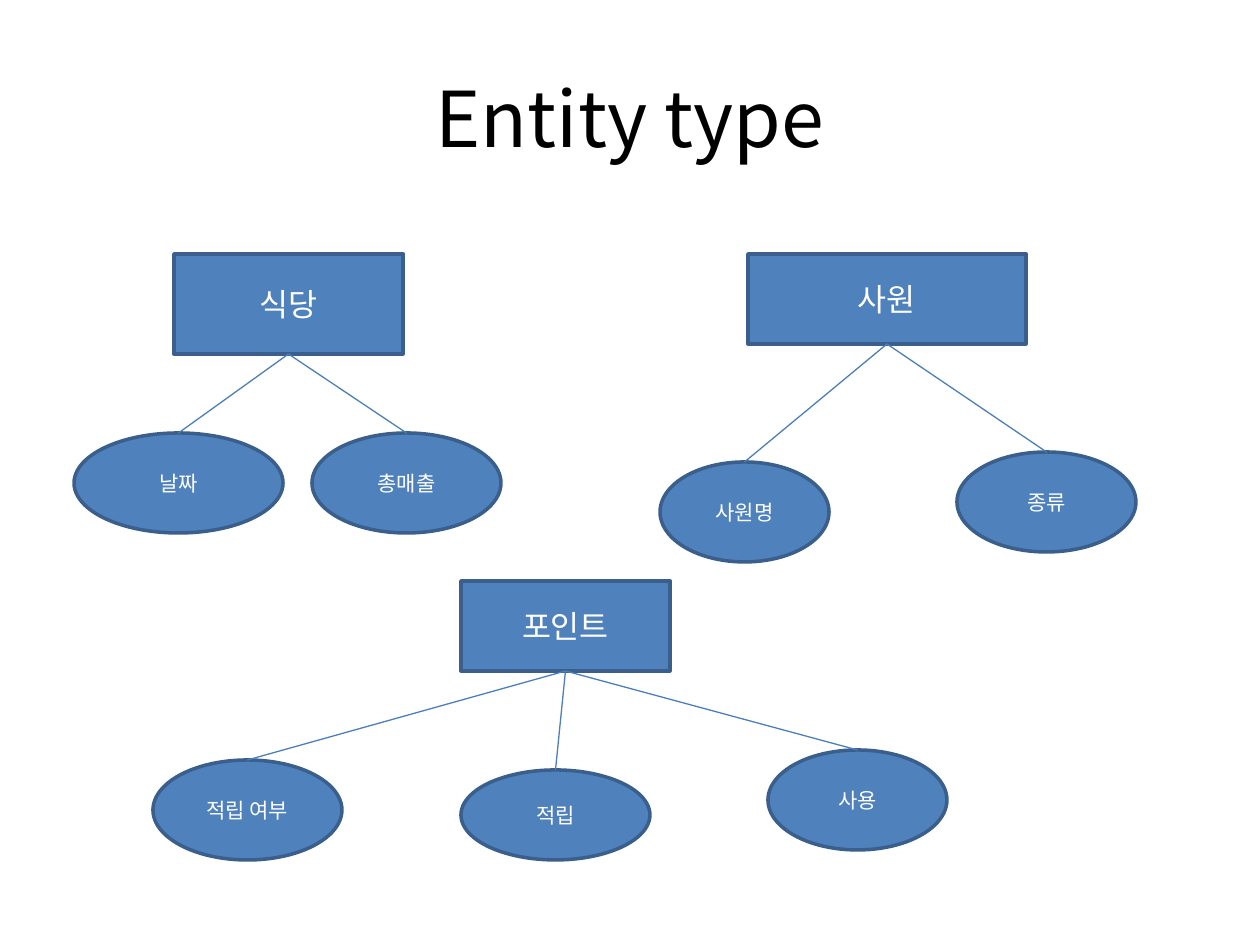
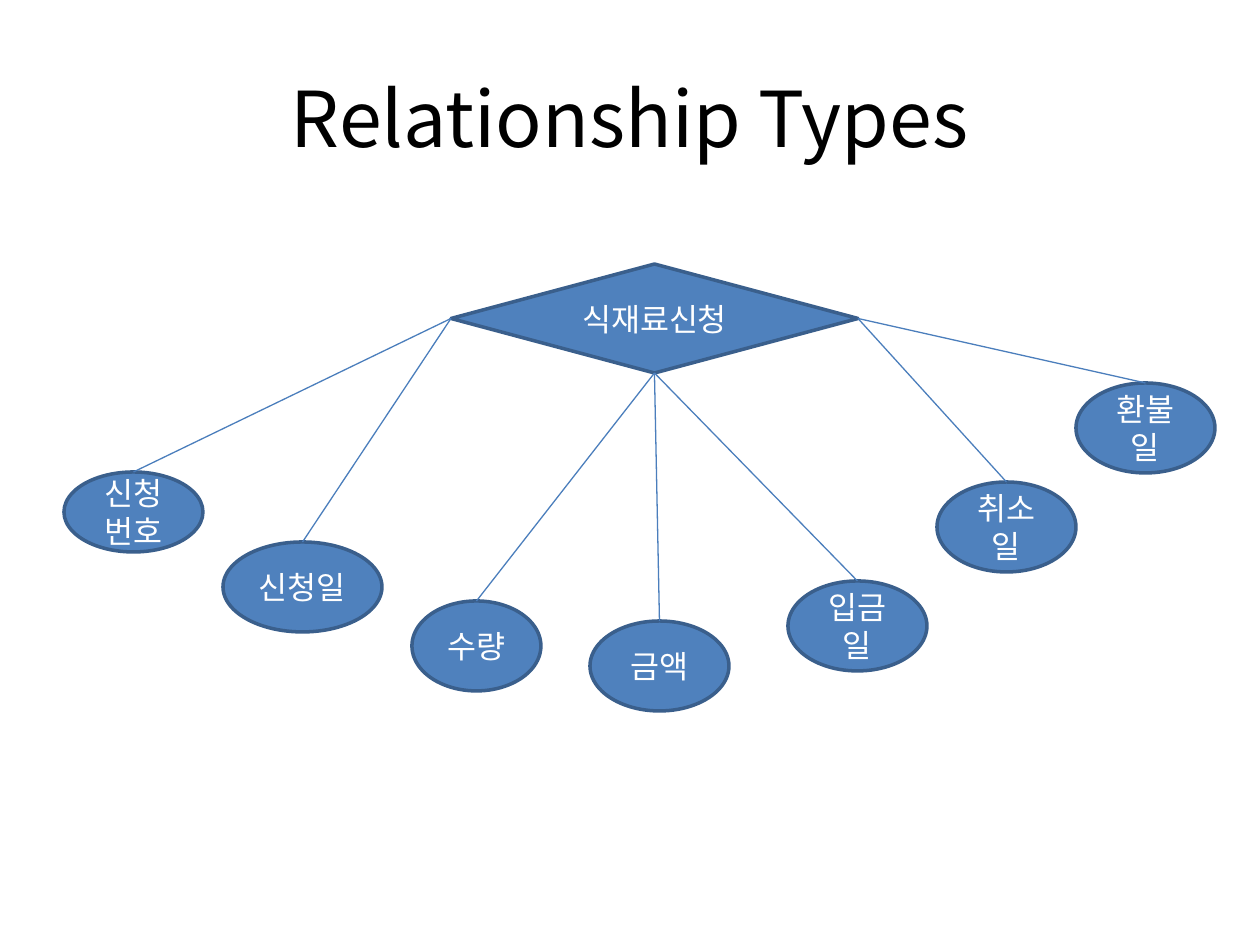
from dataclasses import dataclass

import pptx
import pptx.dml.color
import pptx.enum.shapes
import pptx.enum.text
import pptx.oxml.ns
import pptx.util
from lxml import etree

EMU_PER_PX = 914400 / 126
FONT = "Noto Sans CJK KR"
TITLE_COLOR = "000000"
NODE_FILL = "4F81BD"
NODE_OUTLINE = "3A5F8C"
NODE_TEXT = "FFFFFF"
LINK_COLOR = "4B7EBC"
TOP, LEFT, BOTTOM, RIGHT = range(4)
SHAPE = pptx.enum.shapes.MSO_SHAPE


@dataclass(frozen=True)
class Box:
    left: int
    top: int
    width: int
    height: int


@dataclass(frozen=True)
class Attribute:
    label: str
    box: Box
    owner_side: int = BOTTOM


@dataclass(frozen=True)
class Tree:
    label: str
    box: Box
    kind: SHAPE
    attribute_size: int
    attributes: tuple[Attribute, ...]


@dataclass(frozen=True)
class Page:
    title: str
    trees: tuple[Tree, ...]


TITLE_BOX = Box(63, 38, 1134, 158)

PAGES = (
    Page("Entity type", (
        Tree("사원", Box(748, 254, 278, 90), SHAPE.RECTANGLE, 12, (
            Attribute("사원명", Box(660, 462, 169, 100)),
            Attribute("종류", Box(957, 452, 179, 100)),
        )),
        Tree("식당", Box(174, 254, 229, 100), SHAPE.RECTANGLE, 12, (
            Attribute("날짜", Box(74, 433, 209, 100)),
            Attribute("총매출", Box(312, 433, 189, 100)),
        )),
        Tree("포인트", Box(461, 581, 209, 90), SHAPE.RECTANGLE, 12, (
            Attribute("적립 여부", Box(153, 760, 189, 100)),
            Attribute("적립", Box(461, 770, 189, 90)),
            Attribute("사용", Box(768, 750, 179, 100)),
        )),
    )),
    Page("Relationship Types", (
        Tree("식재료신청", Box(451, 264, 407, 109), SHAPE.FLOWCHART_DECISION, 18, (
            Attribute("신청번호", Box(64, 472, 139, 80), LEFT),
            Attribute("신청일", Box(223, 542, 159, 90), LEFT),
            Attribute("수량", Box(412, 601, 129, 90)),
            Attribute("금액", Box(590, 621, 139, 90)),
            Attribute("입금일", Box(788, 581, 139, 90)),
            Attribute("취소일", Box(937, 482, 139, 90), RIGHT),
            Attribute("환불일", Box(1076, 383, 139, 90), RIGHT),
        )),
    )),
)


def px(length: int) -> pptx.util.Emu:
    return pptx.util.Emu(round(length * EMU_PER_PX))


def color(value: str) -> pptx.dml.color.RGBColor:
    return pptx.dml.color.RGBColor.from_string(value)


def place(box: Box) -> tuple:
    return px(box.left), px(box.top), px(box.width), px(box.height)


def write_text(shape, text: str, size: int, text_color: str) -> None:
    frame = shape.text_frame
    frame.word_wrap = True
    frame.vertical_anchor = pptx.enum.text.MSO_ANCHOR.MIDDLE
    paragraph = frame.paragraphs[0]
    paragraph.text = text
    paragraph.alignment = pptx.enum.text.PP_ALIGN.CENTER
    font = paragraph.font
    font.name = FONT
    font.size = pptx.util.Pt(size)
    font.color.rgb = color(text_color)
    properties = paragraph._p.pPr.find(pptx.oxml.ns.qn("a:defRPr"))
    etree.SubElement(properties, pptx.oxml.ns.qn("a:ea"), typeface=FONT)


def draw_title(slide, title: str) -> None:
    write_text(slide.shapes.add_textbox(*place(TITLE_BOX)), title, 44, TITLE_COLOR)


def draw_node(slide, kind: SHAPE, box: Box, label: str, size: int):
    shape = slide.shapes.add_shape(kind, *place(box))
    shape.shadow.inherit = False
    shape.fill.solid()
    shape.fill.fore_color.rgb = color(NODE_FILL)
    shape.line.color.rgb = color(NODE_OUTLINE)
    shape.line.width = pptx.util.Pt(2)
    write_text(shape, label, size, NODE_TEXT)
    return shape


def draw_link(slide, owner, owner_side: int, attribute) -> None:
    connector = slide.shapes.add_connector(
        pptx.enum.shapes.MSO_CONNECTOR.STRAIGHT, 0, 0, 0, 0)
    connector.begin_connect(owner, owner_side)
    connector.end_connect(attribute, TOP)
    connector.line.color.rgb = color(LINK_COLOR)
    connector.line.width = pptx.util.Pt(0.75)
    etree.SubElement(connector._element.spPr, pptx.oxml.ns.qn("a:effectLst"))


def draw_tree(slide, tree: Tree) -> None:
    owner = draw_node(slide, tree.kind, tree.box, tree.label, 18)
    for attribute in tree.attributes:
        ellipse = draw_node(slide, SHAPE.OVAL, attribute.box, attribute.label,
                            tree.attribute_size)
        draw_link(slide, owner, attribute.owner_side, ellipse)


def main() -> None:
    presentation = pptx.Presentation()
    presentation.slide_width = px(1260)
    presentation.slide_height = px(945)
    for page in PAGES:
        slide = presentation.slides.add_slide(presentation.slide_layouts[6])
        draw_title(slide, page.title)
        for tree in page.trees:
            draw_tree(slide, tree)
    presentation.save("out.pptx")


if __name__ == "__main__":
    main()
